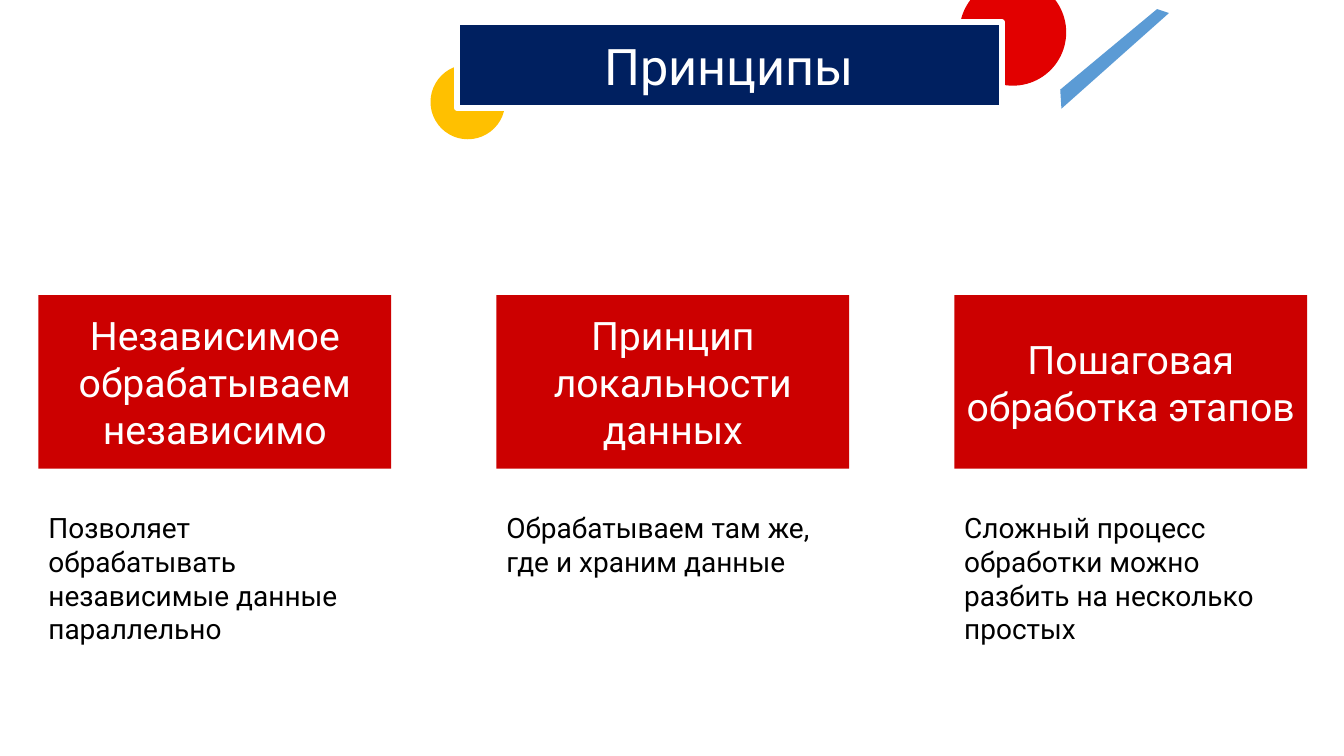
import dataclasses

import pptx
import pptx.dml.color
import pptx.enum.shapes
import pptx.enum.text
import pptx.util

Cm = pptx.util.Cm
Shape = pptx.enum.shapes.MSO_SHAPE
Align = pptx.enum.text.PP_ALIGN
Anchor = pptx.enum.text.MSO_ANCHOR
AutoSize = pptx.enum.text.MSO_AUTO_SIZE


@dataclasses.dataclass(frozen=True)
class Theme:
    """Colours, font and type sizes of the slide."""
    font: str = "Roboto"
    navy: str = "002060"
    red: str = "E20000"
    card: str = "CC0000"
    yellow: str = "FFC000"
    blue: str = "5B9BD5"
    white: str = "FFFFFF"
    black: str = "000000"
    title_size: int = 36
    card_size: int = 28
    note_size: int = 20


THEME = Theme()

PRINCIPLES = [
    ("Независимое обрабатываем независимо",
     "Позволяет обрабатывать независимые данные параллельно"),
    ("Принцип локальности данных",
     "Обрабатываем там же, где и храним данные"),
    ("Пошаговая обработка этапов",
     "Сложный процесс обработки можно разбить на несколько простых"),
]


@dataclasses.dataclass(frozen=True)
class Box:
    """A rectangle in centimetres."""
    left: float
    top: float
    width: float
    height: float

    def lengths(self):
        """Return the four sides as slide lengths."""
        return [Cm(side) for side in dataclasses.astuple(self)]


def colour(code):
    """Turn a hex code into a colour."""
    return pptx.dml.color.RGBColor.from_string(code)


def paint(shape, code):
    """Give a shape a plain fill without line or shadow."""
    shape.shadow.inherit = False
    shape.fill.solid()
    shape.fill.fore_color.rgb = colour(code)
    shape.line.fill.background()


def add_figure(page, kind, box, code):
    """Add a plain preset shape."""
    figure = page.shapes.add_shape(kind, *box.lengths())
    paint(figure, code)
    return figure


def write(shape, text, size, code, align, anchor):
    """Write one paragraph into a shape."""
    frame = shape.text_frame
    frame.word_wrap = True
    frame.vertical_anchor = anchor
    para = frame.paragraphs[0]
    para.alignment = align
    span = para.add_run()
    span.text = text
    span.font.name = THEME.font
    span.font.size = pptx.util.Pt(size)
    span.font.color.rgb = colour(code)


def add_header(page, box):
    """Place the title plate with its decorations around the box."""
    corners = [(17.65, -0.33), (17.95, -0.23), (15.24, 2.18), (15.21, 1.7)]
    points = [(Cm(box.left + x), Cm(box.top + y)) for x, y in corners]
    outline = page.shapes.build_freeform(*points[0])
    outline.add_line_segments(points[1:], close=True)
    paint(outline.convert_to_shape(), THEME.blue)

    for x, y, size, code in [(-0.66, 1.07, 1.88, THEME.yellow),
                             (12.67, -1.09, 2.69, THEME.red)]:
        circle = Box(box.left + x, box.top + y, size, size)
        add_figure(page, Shape.OVAL, circle, code)

    title = page.shapes.title
    title.element.getparent().append(title.element)
    title.left, title.top, title.width, title.height = box.lengths()
    title.fill.solid()
    title.fill.fore_color.rgb = colour(THEME.navy)
    title.line.color.rgb = colour(THEME.white)
    title.line.width = pptx.util.Pt(4)
    title.text_frame.auto_size = AutoSize.NONE
    write(title, "Принципы", THEME.title_size, THEME.white,
          Align.CENTER, Anchor.MIDDLE)


def add_principle(page, box, heading, note):
    """Place a heading card with its explanation below in the box."""
    card_height, note_offset = 4.37, 5.31
    card = add_figure(page, Shape.RECTANGLE,
                      Box(box.left, box.top, box.width, card_height), THEME.card)
    write(card, heading, THEME.card_size, THEME.white,
          Align.CENTER, Anchor.MIDDLE)

    note_box = Box(box.left, box.top + note_offset,
                   box.width, box.height - note_offset)
    label = page.shapes.add_textbox(*note_box.lengths())
    label.text_frame.auto_size = AutoSize.SHAPE_TO_FIT_TEXT
    write(label, note, THEME.note_size, THEME.black, Align.LEFT, Anchor.TOP)


def add_principles(page, box):
    """Spread the principles evenly over the box."""
    width = 8.89
    pitch = (box.width - width) / (len(PRINCIPLES) - 1)
    for index, (heading, note) in enumerate(PRINCIPLES):
        column = Box(box.left + index * pitch, box.top, width, box.height)
        add_principle(page, column, heading, note)


def main():
    """Build and save the deck."""
    deck = pptx.Presentation()
    deck.slide_width, deck.slide_height = Cm(33.87), Cm(19.05)
    page = deck.slides.add_slide(deck.slide_layouts.get_by_name("Title Only"))
    add_header(page, Box(11.51, 0.56, 13.74, 2.16))
    add_principles(page, Box(0.97, 7.44, 31.97, 8.13))
    deck.save("out.pptx")


if __name__ == "__main__":
    main()
